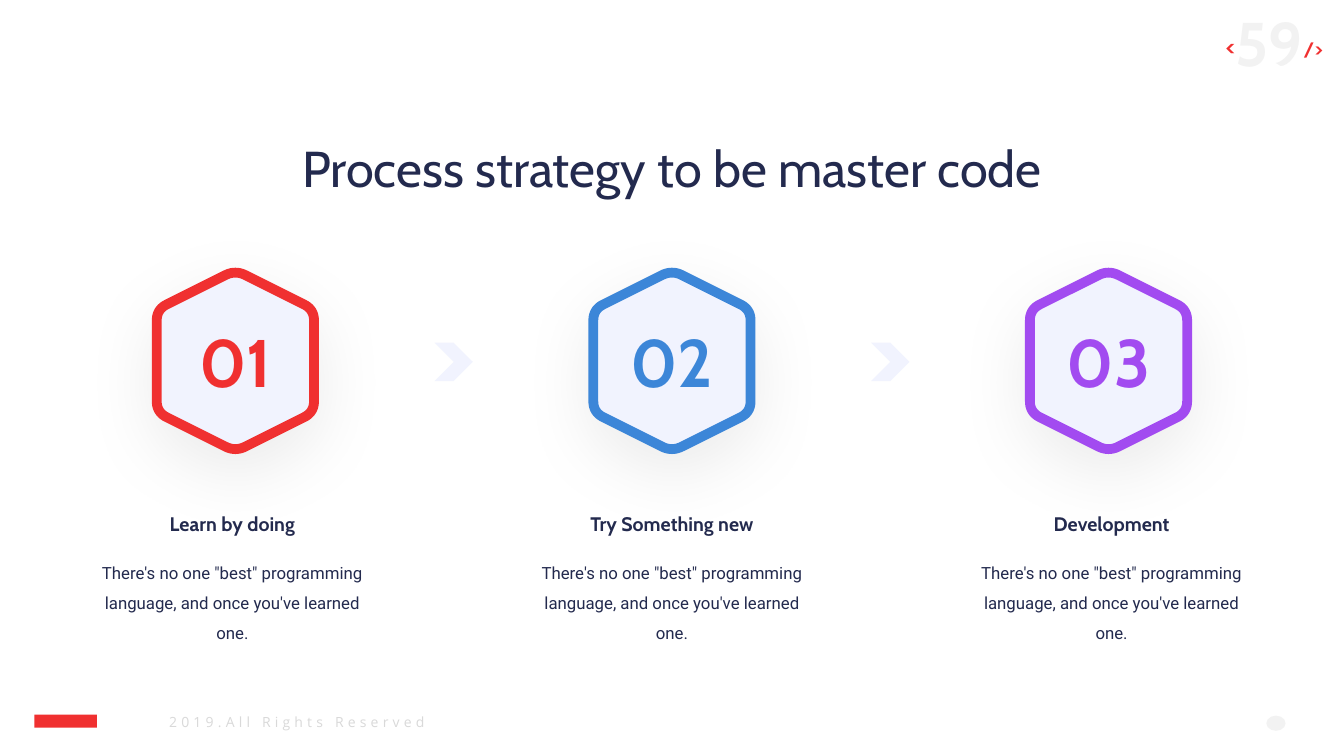
from lxml import etree
from pptx import Presentation
from pptx.dml.color import RGBColor
from pptx.enum import shapes as es, text as et
from pptx.oxml import ns
from pptx.util import Inches, Pt

INK = {"navy": "232A4E", "red": "F03030", "blue": "3C86D8", "violet": "A24BF0",
       "pale": "F1F3FE", "ghost": "F2F2F2", "gray": "D9D9D9"}
TITLE = "Process strategy to be master code"
BODY = "There's no one \"best\" programming language, and once you've learned one."
STEPS = [("01", "Learn by doing", BODY, "red"),
         ("02", "Try Something new", BODY, "blue"),
         ("03", "Development", BODY, "violet")]
# Each run: text, size, colour, baseline in percent
PAGE = [("<", 28, "red", 30), ("59", 44, "ghost", 0), ("/>", 24, "red", 30)]
RIGHTS = [("2019.All Rights Reserved", 10, "gray", 0)]

WIDE, HIGH = 13.33, 7.5
MID = WIDE / 2
GAP, TEXT_GAP = 4.33, 4.36      # column pitch of hexagons and of captions
HEX_W, HEX_H, HEX_TOP = 1.56, 1.76, 2.7
HEX_MID = HEX_TOP + HEX_H / 2
CUT = 0.11                      # length taken off each hexagon corner
ARROW = 0.38

deck = Presentation()
deck.slide_width, deck.slide_height = Inches(WIDE), Inches(HIGH)
slide = deck.slides.add_slide(deck.slide_layouts[5])


def color(name):
    return RGBColor.from_string(INK[name])


def place(shape, left, top, width, height):
    shape.left, shape.top = Inches(left), Inches(top)
    shape.width, shape.height = Inches(width), Inches(height)


def style(run, size, ink, face="Cabin", bold=False):
    run.font.size, run.font.name, run.font.bold = Pt(size), face, bold
    run.font.color.rgb = color(ink)


def label(mid, top, width, height, words, size, ink, face="Cabin", bold=False, lead=1.0):
    """Add a text box centred on mid."""
    box = slide.shapes.add_textbox(
        Inches(mid - width / 2), Inches(top), Inches(width), Inches(height))
    box.text_frame.word_wrap = True
    para = box.text_frame.paragraphs[0]
    para.text, para.alignment, para.line_spacing = words, et.PP_ALIGN.CENTER, lead
    style(para.runs[0], size, ink, face, bold)


def strip(left, top, width, height, runs, face="Cabin", bold=True, space=0):
    """Add a line of runs that differ in size, colour and baseline."""
    box = slide.shapes.add_textbox(
        Inches(left), Inches(top), Inches(width), Inches(height))
    box.text_frame.word_wrap = False
    para = box.text_frame.paragraphs[0]
    for words, size, ink, rise in runs:
        run = para.add_run()
        run.text = words
        style(run, size, ink, face, bold)
        props = run._r.get_or_add_rPr()
        if rise:
            props.set("baseline", str(rise * 1000))
        if space:
            props.set("spc", str(space * 100))
    return box


def plain(kind, left, top, width, height, ink):
    shape = slide.shapes.add_shape(
        kind, Inches(left), Inches(top), Inches(width), Inches(height))
    shape.shadow.inherit = False
    shape.fill.solid()
    shape.fill.fore_color.rgb = color(ink)
    shape.line.fill.background()


def toward(a, b, dist):
    span = ((b[0] - a[0]) ** 2 + (b[1] - a[1]) ** 2) ** 0.5
    return tuple(p + (q - p) * dist / span for p, q in zip(a, b))


def outline(mid, steps=10):
    """Points of a hexagon whose corners are quadratic curves."""
    half, rise = HEX_W / 2, HEX_W / 4
    tip, low = HEX_H / 2 + 0.02, HEX_H / 2 + 0.02 - rise
    ends = [(0, -tip), (half, -low), (half, low), (0, tip), (-half, low), (-half, -low)]
    ends = [(mid + x, HEX_MID + y) for x, y in ends]
    dots = []
    for i, end in enumerate(ends):
        start = toward(end, ends[i - 1], CUT)
        stop = toward(end, ends[(i + 1) % 6], CUT)
        for t in (n / steps for n in range(steps + 1)):
            dots.append(tuple((1 - t) ** 2 * a + 2 * t * (1 - t) * b + t * t * c
                              for a, b, c in zip(start, end, stop)))
    return dots


def hexagon(mid, ink):
    dots = [(Inches(x), Inches(y)) for x, y in outline(mid)]
    pen = slide.shapes.build_freeform(*dots[0])
    pen.add_line_segments(dots[1:], close=True)
    shape = pen.convert_to_shape()
    shape.fill.solid()
    shape.fill.fore_color.rgb = color("pale")
    shape.line.color.rgb, shape.line.width = color(ink), Pt(7)
    shape.shadow.inherit = False
    glow = shape._element.spPr.find(ns.qn("a:effectLst"))
    cast = etree.SubElement(glow, ns.qn("a:outerShdw"), blurRad=str(Pt(51)),
                            dist=str(Pt(15)), dir="5400000", algn="t", rotWithShape="0")
    tint = etree.SubElement(cast, ns.qn("a:srgbClr"), val="000000")
    etree.SubElement(tint, ns.qn("a:alpha"), val="7000")


def main():
    page = strip(10.67, 0, 2.55, 0.84, PAGE)
    page.text_frame.word_wrap = True
    page.text_frame.vertical_anchor = et.MSO_ANCHOR.MIDDLE
    page.text_frame.paragraphs[0].alignment = et.PP_ALIGN.RIGHT
    strip(1.58, 7.03, 2.76, 0.27, RIGHTS, "Open Sans", False, 3)
    plain(es.MSO_SHAPE.RECTANGLE, 0.34, 7.09, 0.62, 0.13, "red")
    plain(es.MSO_SHAPE.OVAL, 12.56, 7.1, 0.19, 0.15, "ghost")

    title = slide.shapes.title
    place(title, MID - WIDE * 0.35, 1.31, WIDE * 0.7, 0.71)
    frame = title.text_frame
    frame.text = TITLE
    frame.auto_size, frame.vertical_anchor = et.MSO_AUTO_SIZE.NONE, et.MSO_ANCHOR.TOP
    frame.paragraphs[0].alignment = et.PP_ALIGN.CENTER
    style(frame.paragraphs[0].runs[0], 36, "navy")

    for i, (num, head, body, ink) in enumerate(STEPS):
        mid, text_mid = MID + (i - 1) * GAP, MID + (i - 1) * TEXT_GAP
        hexagon(mid, ink)
        label(mid, 3.13, 1.29, 0.91, num, 48, ink, bold=True)
        label(text_mid, 4.96, 2.04, 0.37, head, 14, "navy", bold=True, lead=1.3)
        label(text_mid, 5.43, 3.05, 0.67, body, 12, "navy", "Roboto", lead=1.5)
        if i < len(STEPS) - 1:
            plain(es.MSO_SHAPE.CHEVRON, mid + GAP / 2 - ARROW / 2, 3.4, ARROW, ARROW, "pale")
    deck.save("out.pptx")


if __name__ == "__main__":
    main()
